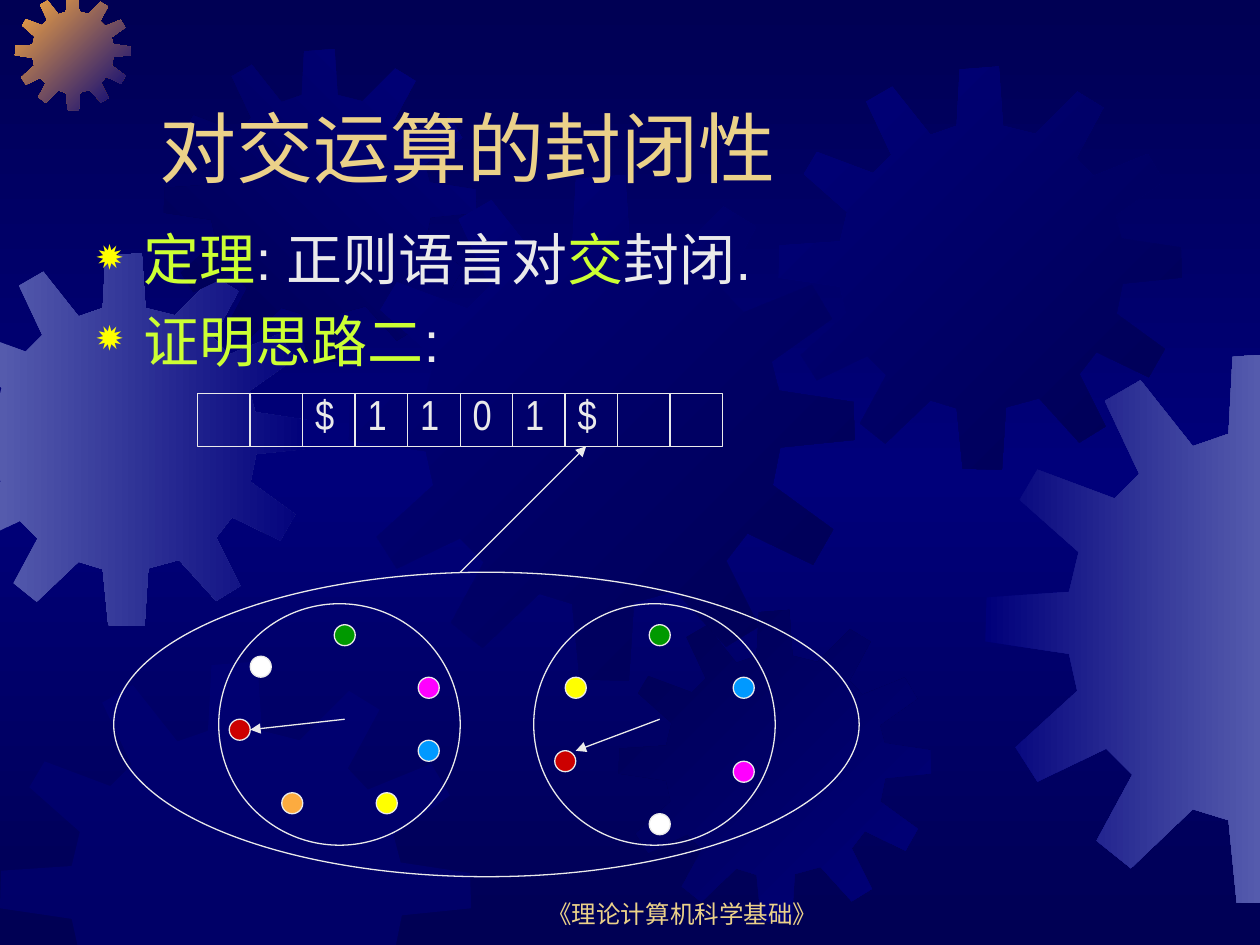
import copy

import pptx
import pptx.dml.color
import pptx.enum.shapes
import pptx.enum.text
import pptx.oxml.ns
import pptx.oxml.xmlchemy
import pptx.util
from lxml import etree

Pt = pptx.util.Pt
RGBColor = pptx.dml.color.RGBColor
MSO_SHAPE = pptx.enum.shapes.MSO_SHAPE
MSO_ANCHOR = pptx.enum.text.MSO_ANCHOR
PP_ALIGN = pptx.enum.text.PP_ALIGN
qn = pptx.oxml.ns.qn

NAVY = RGBColor(0x00, 0x00, 0x54)
BLUE = RGBColor(0x00, 0x00, 0x7A)
STEEL = RGBColor(0x55, 0x5B, 0xAD)
ORANGE = RGBColor(0xFC, 0xAB, 0x40)
GOLD = RGBColor(0xEB, 0xD1, 0x89)
LIME = RGBColor(0xCC, 0xFF, 0x33)
PALE = RGBColor(0xEA, 0xEA, 0xEA)
GREEN = RGBColor(0x00, 0x99, 0x00)
SKY = RGBColor(0x00, 0x99, 0xFF)
RED = RGBColor(0xCC, 0x00, 0x00)
MAGENTA = RGBColor(0xFF, 0x00, 0xFF)
WHITE = RGBColor(0xFF, 0xFF, 0xFF)
YELLOW = RGBColor(0xFF, 0xFF, 0x00)

SLIDE_WIDTH, SLIDE_HEIGHT = 720, 540
GEAR_UNITS = 401
GEAR_OUTLINE = [
    (255, 67), (223, 59), (219, 0), (180, 3), (177, 59), (151, 68), (113, 20), (87, 35),
    (112, 88), (94, 106), (38, 85), (25, 107), (68, 145), (61, 174), (1, 178), (0, 210),
    (61, 219), (67, 246), (22, 287), (38, 312), (88, 288), (107, 307), (81, 355), (106, 375),
    (151, 332), (177, 340), (183, 400), (222, 401), (226, 339), (259, 330), (299, 374), (325, 358),
    (299, 306), (316, 284), (368, 309), (384, 281), (336, 246), (342, 216), (401, 210), (400, 180),
    (341, 171), (335, 148), (383, 114), (367, 87), (313, 109), (296, 91), (323, 41), (297, 25),
]
GEARS = [
    (-35.3, 144.7, 213, STEEL, BLUE, 0),
    (8.6, -3, 66, ORANGE, BLUE, 45),
    (93.6, 28, 178.6, NAVY, BLUE, 315),
    (199.4, 100, 289, BLUE, NAVY, 45),
    (0, 378, 269.3, BLUE, None, 0),
    (353.5, 348.5, 178.6, NAVY, BLUE, 45),
    (445, 38, 230.4, BLUE, NAVY, 45),
    (563, 201.6, 315, BLUE, STEEL, 0),
]
LEFT_STATES = [
    (66, 12, GREEN), (114, 78, SKY), (6, 66, RED), (114, 42, MAGENTA),
    (18, 30, WHITE), (90, 108, YELLOW), (36, 108, ORANGE),
]
RIGHT_STATES = [
    (66, 12, GREEN), (114, 90, MAGENTA), (12, 84, RED),
    (114, 42, SKY), (18, 42, YELLOW), (66, 120, WHITE),
]


def set_gradient(fill, start, end, angle):
    """Give a fill a two-colour gradient with a clockwise angle."""
    fill.gradient()
    fill.gradient_angle = -angle % 360
    for stop, color in zip(fill.gradient_stops, (start, end)):
        stop.color.rgb = color


def add_background(slide):
    """Fill the slide with a vertical navy, blue, navy gradient."""
    set_gradient(slide.background.fill, NAVY, BLUE, 90)
    stops = slide.element.find(".//" + qn("a:gsLst"))
    last_stop = copy.deepcopy(stops[0])
    stops[1].set("pos", "50000")
    last_stop.set("pos", "100000")
    stops.append(last_stop)


def clip(points, axis, limit, sign):
    """Cut a polygon at a limit on one axis, keeping the side given by sign."""
    kept = []
    for point, following in zip(points, points[1:] + points[:1]):
        inside = sign * (limit - point[axis]) >= 0
        if inside:
            kept.append(point)
        if inside != (sign * (limit - following[axis]) >= 0):
            share = (limit - point[axis]) / (following[axis] - point[axis])
            kept.append(tuple(a + share * (b - a) for a, b in zip(point, following)))
    return kept


def add_gear(slide, left, top, size, start, end, angle):
    """Draw a gear in a square box, cut at the slide edges."""
    scale = size / GEAR_UNITS
    points = [(left + x * scale, top + y * scale) for x, y in GEAR_OUTLINE]
    for axis, limit in enumerate((SLIDE_WIDTH, SLIDE_HEIGHT)):
        points = clip(clip(points, axis, 0, -1), axis, limit, 1)
    points = [(Pt(x), Pt(y)) for x, y in points]
    builder = slide.shapes.build_freeform(*points[0])
    builder.add_line_segments(points[1:], close=True)
    shape = builder.convert_to_shape()
    shape.shadow.inherit = False
    shape.line.fill.background()
    if end is None:
        shape.fill.solid()
        shape.fill.fore_color.rgb = start
        color = shape.element.spPr.find(".//" + qn("a:srgbClr"))
        etree.SubElement(color, qn("a:alpha"), val="50000")
    else:
        set_gradient(shape.fill, start, end, angle)


def add_text(slide, left, top, width, height, anchor=MSO_ANCHOR.TOP):
    """Add an empty wrapping text box and return its frame."""
    frame = slide.shapes.add_textbox(Pt(left), Pt(top), Pt(width), Pt(height)).text_frame
    frame.word_wrap = True
    frame.vertical_anchor = anchor
    return frame


def add_line_of_text(frame, text, size, color, font="Arial", alignment=PP_ALIGN.LEFT):
    """Write one plain paragraph into a text frame."""
    paragraph = frame.paragraphs[0]
    paragraph.text = text
    paragraph.alignment = alignment
    paragraph.font.size = Pt(size)
    paragraph.font.name = font
    paragraph.font.color.rgb = color


def add_body(slide, left, top, width, height):
    """Write the bulleted theorem and proof idea."""
    frame = add_text(slide, left, top, width, height)
    items = [
        [("定理", LIME), (": 正则语言对", PALE), ("交", LIME), ("封闭.", PALE)],
        [("证明思路二", LIME), (":", PALE)],
    ]
    for index, item in enumerate(items):
        paragraph = frame.add_paragraph() if index else frame.paragraphs[0]
        properties = paragraph._p.get_or_add_pPr()
        properties.set("marL", str(Pt(27)))
        properties.set("indent", str(-Pt(27)))
        bullet_color = etree.SubElement(properties, qn("a:buClr"))
        etree.SubElement(bullet_color, qn("a:srgbClr"), val=str(YELLOW))
        etree.SubElement(properties, qn("a:buSzPct"), val="80000")
        etree.SubElement(properties, qn("a:buChar"), char="✹")
        if index:
            paragraph.space_before = Pt(8)
        paragraph.font.size = Pt(32)
        paragraph.font.name = "Arial"
        for text, color in item:
            run = paragraph.add_run()
            run.text = text
            run.font.color.rgb = color


def add_outline(slide, kind, left, top, width, height, fill=None):
    """Add a thinly outlined shape, hollow unless a fill is given."""
    shape = slide.shapes.add_shape(kind, Pt(left), Pt(top), Pt(width), Pt(height))
    shape.shadow.inherit = False
    shape.line.color.rgb = PALE
    shape.line.width = Pt(0.75)
    if fill is None:
        shape.fill.background()
    else:
        shape.fill.solid()
        shape.fill.fore_color.rgb = fill


def add_arrow(slide, start, end):
    """Draw a thin arrow between two points."""
    straight = pptx.enum.shapes.MSO_CONNECTOR.STRAIGHT
    arrow = slide.shapes.add_connector(straight, *map(Pt, start + end))
    arrow.line.color.rgb = PALE
    arrow.line.width = Pt(0.75)
    etree.SubElement(arrow.line._get_or_add_ln(), qn("a:tailEnd"), type="triangle")
    etree.SubElement(arrow.element.spPr, qn("a:effectLst"))


def add_tape(slide, left, top, cell, symbols):
    """Draw the input tape, one square for each symbol."""
    for index, symbol in enumerate(symbols):
        x = left + index * cell
        add_outline(slide, MSO_SHAPE.RECTANGLE, x, top, cell, cell)
        if symbol.strip():
            frame = add_text(slide, x, top - 6.5, cell, 36)
            add_line_of_text(frame, symbol, 24, PALE, "Arial Narrow")


def add_automaton(slide, left, top, size, states, target):
    """Draw one automaton: a circle of states and a pointer to the current one."""
    add_outline(slide, MSO_SHAPE.OVAL, left, top, size, size)
    for x, y, color in states:
        add_outline(slide, MSO_SHAPE.OVAL, left + x, top + y, 12, 12, color)
    add_arrow(slide, (left + 72, top + 66), (left + target[0], top + target[1]))


def main():
    """Build and save the slide."""
    presentation = pptx.Presentation()
    presentation.slide_width = Pt(SLIDE_WIDTH)
    presentation.slide_height = Pt(SLIDE_HEIGHT)
    slide = presentation.slides.add_slide(presentation.slide_layouts[6])
    add_background(slide)
    for gear in GEARS:
        add_gear(slide, *gear)
    footer = add_text(slide, 276, 498, 228, 36, MSO_ANCHOR.BOTTOM)
    add_line_of_text(footer, "《理论计算机科学基础》", 14, GOLD, alignment=PP_ALIGN.CENTER)
    title = add_text(slide, 84, 24, 612, 90, MSO_ANCHOR.BOTTOM)
    add_line_of_text(title, "对交运算的封闭性", 44, GOLD)
    add_body(slide, 48, 125, 612, 360)
    add_tape(slide, 113, 225, 30, "  $1101$  ")
    add_arrow(slide, (263, 327), (335, 255))
    add_outline(slide, MSO_SHAPE.OVAL, 65, 327, 426, 174)
    add_automaton(slide, 125, 345, 138, LEFT_STATES, (18, 72))
    add_automaton(slide, 305, 345, 138, RIGHT_STATES, (24, 84))
    presentation.save("out.pptx")


if __name__ == "__main__":
    main()
